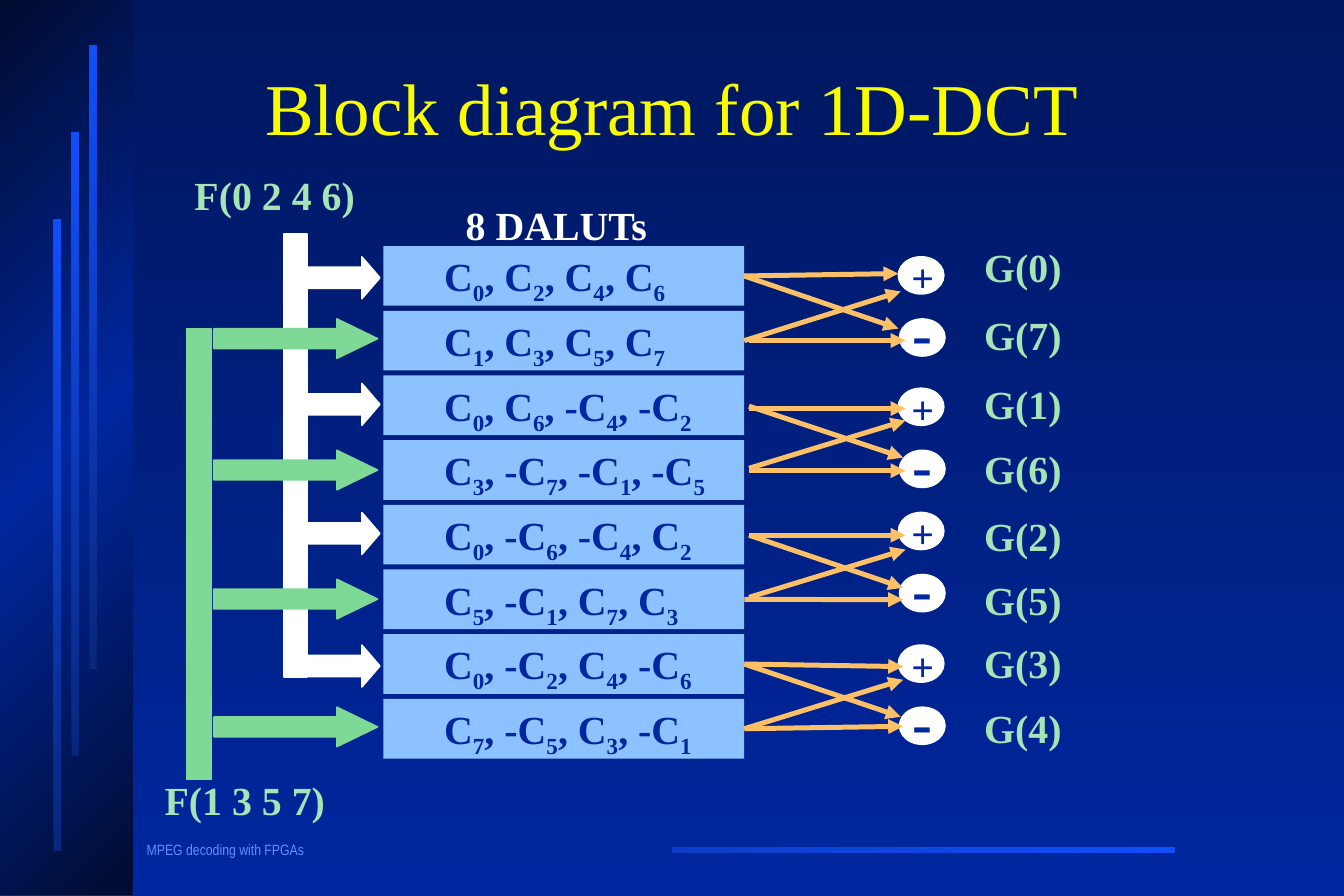
from copy import deepcopy
from lxml.etree import SubElement
from pptx import Presentation
from pptx.dml.color import RGBColor
from pptx.enum.shapes import MSO_CONNECTOR, MSO_SHAPE
from pptx.enum.text import MSO_ANCHOR, MSO_AUTO_SIZE, PP_ALIGN
from pptx.oxml.ns import qn
from pptx.util import Inches, Pt

NAVY, WHITE, GREEN, MINT = "00279F", "FFFFFF", "7ED896", "A4E4B5"
BLUE, ORANGE = "114FFB", "FEC066"

prs = Presentation()
prs.slide_width, prs.slide_height = Inches(11.25), Inches(7.5)
s = prs.slides.add_slide(prs.slide_layouts[6])


def add_box(kind, x, y, w, h, color, outlined=False):
    sp = s.shapes.add_shape(kind, Inches(x), Inches(y), Inches(w), Inches(h))
    sp.shadow.inherit = False
    sp.fill.solid()
    sp.fill.fore_color.rgb = RGBColor.from_string(color)
    if outlined:
        sp.line.color.rgb = RGBColor.from_string(color)
        sp.line.width = Pt(1)
    else:
        sp.line.fill.background()
    return sp


def add_text(x, y, w, h, runs, color, size=24, bold=True, font="Times New Roman"):
    tf = s.shapes.add_textbox(Inches(x), Inches(y), Inches(w), Inches(h)).text_frame
    tf.word_wrap = False
    tf.auto_size = MSO_AUTO_SIZE.SHAPE_TO_FIT_TEXT
    for i, text in enumerate(runs):
        r = tf.paragraphs[0].add_run()
        r.text = text
        r.font.size, r.font.bold, r.font.name = Pt(size), bold, font
        r.font.color.rgb = RGBColor.from_string(color)
        if i % 2:
            r._r.get_or_add_rPr().set("baseline", "-25000")
    return tf


footer = add_text(1.13, 7, 1.53, 0.23, ["MPEG decoding with FPGAs"], "618FFD", 9, False, "Arial Narrow")
footer.word_wrap = True
footer.paragraphs[0].line_spacing = 0.9

gradients = [(s.background.fill, ["00175F", NAVY], 270)]
rule = add_box(MSO_SHAPE.RECTANGLE, 5.63, 7.09, 4.21, 0.05, BLUE)
gradients.append((rule.fill, [BLUE, "0D3EC8"], 135))
sidebar = add_box(MSO_SHAPE.RECTANGLE, 0, 0, 1.11, 7.49, NAVY)
gradients.append((sidebar.fill, ["000B2F", NAVY, "000B2F"], 135))
for x, y, h in [(0.45, 1.84, 5.28), (0.6, 1.11, 5.22), (0.75, 0.38, 5.22)]:
    stripe = add_box(MSO_SHAPE.RECTANGLE, x, y, 0.06, h, BLUE)
    gradients.append((stripe.fill, ["08277C", BLUE], 135))

for fill, colors, angle in gradients:
    fill.gradient()
    fill.gradient_angle = angle
    if len(colors) == 3:
        first = fill.gradient_stops[0]._gs
        first.addnext(deepcopy(first))
    for i, (stop, color) in enumerate(zip(fill.gradient_stops, colors)):
        stop.position = i / (len(colors) - 1)
        stop.color.rgb = RGBColor.from_string(color)

title = add_text(1.16, 0.32, 8.93, 1.25, ["Block diagram for 1D-DCT"], "FAFD00", 44, False)
title.word_wrap = True
title.auto_size = MSO_AUTO_SIZE.NONE
title.vertical_anchor = MSO_ANCHOR.MIDDLE
title.paragraphs[0].alignment = PP_ALIGN.CENTER
title.paragraphs[0].line_spacing = 0.85

tables = [
    ("C0, C2, C4, C6", 2.05), ("C1, C3, C5, C7", 2.05),
    ("C0, C6, -C4, -C2", 2.27), ("C3, -C7, -C1, -C5", 2.38),
    ("C0, -C6, -C4, C2", 2.27), ("C5, -C1, C7, C3", 2.16),
    ("C0, -C2, C4, -C6", 2.27), ("C7, -C5, C3, -C1", 2.27),
]
luts = []
for i, (terms, width) in enumerate(tables):
    y = 2.06 + 3.79 * i / 7
    luts.append(add_box(MSO_SHAPE.RECTANGLE, 3.21, y, 3.02, 0.5, "8CC2FF"))
    runs = []
    for term in terms.split(", "):
        runs += [", " + term[:-1] if runs else term[:-1], term[-1]]
    add_text(3.62, y, width, 0.56, runs, NAVY)

for y in [2.15, 3.25, 4.29, 5.4]:
    add_box(MSO_SHAPE.OVAL, 7.52, y, 0.38, 0.31, WHITE, True)
    add_text(7.53, y - 0.08, 0.39, 0.5, ["+"], NAVY)
    add_box(MSO_SHAPE.OVAL, 7.53, y + 0.52, 0.38, 0.31, WHITE, True)
    add_text(7.54, y + 0.28, 0.36, 0.7, ["-"], NAVY, 36)

straight = [(6.21, 2.29), (6.27, 2.85), (6.27, 3.42), (6.27, 3.94),
            (6.27, 4.48), (6.25, 5.02), (6.25, 5.58), (6.25, 6.08)]
crossed = [(6.23, 2.31, 7.52, 2.75), (6.23, 2.83, 7.54, 2.44),
           (6.27, 3.4, 7.56, 3.83), (6.27, 3.92, 7.58, 3.52),
           (6.27, 4.48, 7.56, 4.92), (6.27, 5, 7.58, 4.6),
           (6.25, 5.56, 7.54, 6), (6.25, 6.08, 7.56, 5.69)]
for arrows in [[(x, y, x + 1.31, y) for x, y in straight], crossed]:
    for lut, (x1, y1, x2, y2) in zip(luts, arrows):
        c = s.shapes.add_connector(MSO_CONNECTOR.STRAIGHT, Inches(x1), Inches(y1), Inches(x2), Inches(y2))
        if x1 < 6.26:
            c.begin_connect(lut, 3)
        c.line.color.rgb = RGBColor.from_string(ORANGE)
        c.line.width = Pt(3)
        SubElement(c.line._get_or_add_ln(), qn("a:tailEnd"), type="triangle")
        SubElement(c._element.spPr, qn("a:effectLst"))

outputs = [(0, 1.98), (7, 2.55), (1, 3.13), (6, 3.67), (2, 4.23), (5, 4.77), (3, 5.3), (4, 5.84)]
for n, y in outputs:
    add_text(8.14, y, 0.85, 0.5, [f"G({n})"], MINT)

buses = [
    (WHITE, 2.58, 0.6, 0.35, 0.43, [2.15, 3.21, 4.29, 5.4], (2.38, 1.96, 0.19, 3.71)),
    (GREEN, 1.79, 1.37, 0.33, 1.03, [2.67, 3.77, 4.85, 5.92], (1.56, 2.75, 0.21, 3.77)),
]
for color, x, w, h, head, tops, bar in buses:
    for y in tops:
        arrow = add_box(MSO_SHAPE.RIGHT_ARROW, x, y, w, h, color, True)
        arrow.adjustments[1] = head
    add_box(MSO_SHAPE.RECTANGLE, *bar, color, True)

add_text(1.28, 6.44, 1.54, 0.5, ["F(1 3 5 7)"], MINT)
add_text(1.53, 1.38, 1.54, 0.5, ["F(0 2 4 6)"], MINT)
add_text(3.8, 1.63, 1.74, 0.5, ["8 DALUTs"], WHITE)

prs.save("out.pptx")
